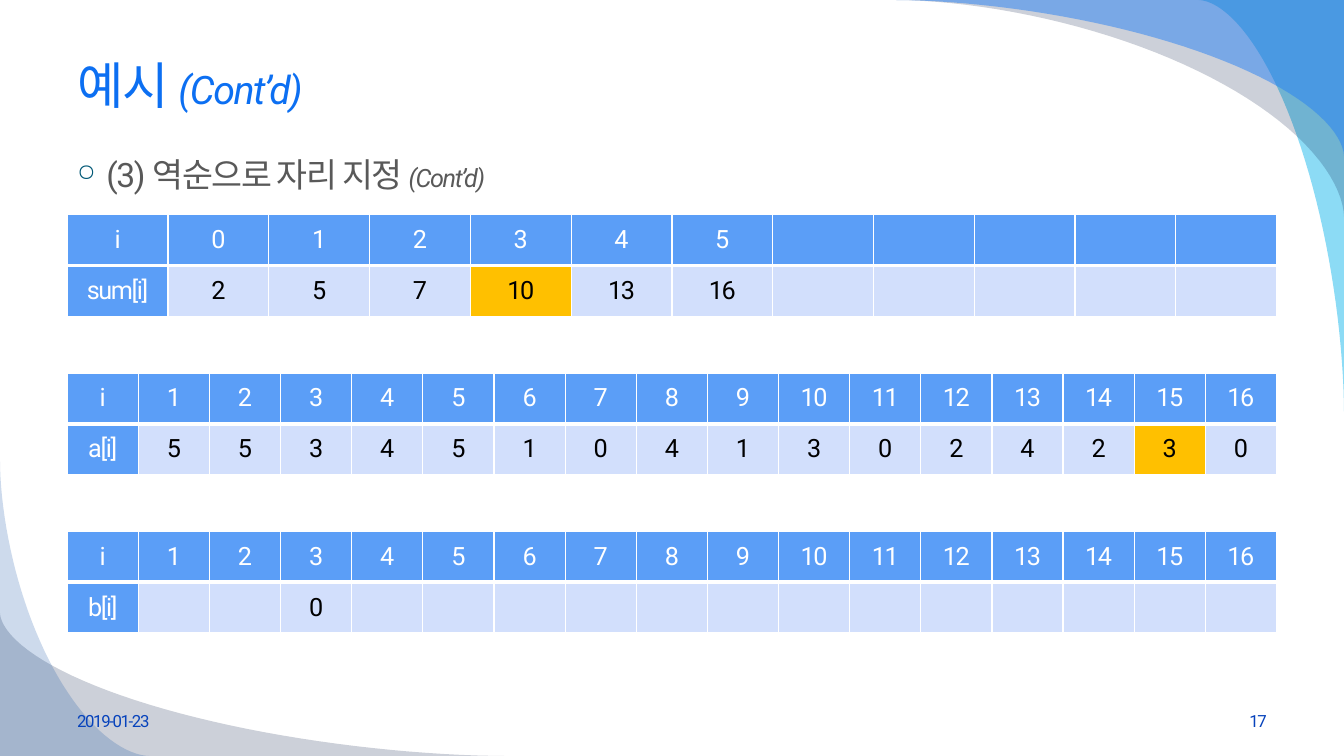
import math

import pptx
import pptx.dml.color
import pptx.enum.text
import pptx.oxml
import pptx.oxml.ns
import pptx.util

WIDTH, HEIGHT = 13.33, 7.5
MARGIN, CONTENT = 0.05 * WIDTH, 0.9 * WIDTH
TABLE_TOP, TABLE_STEP, TABLE_HEIGHT = 2.13, 1.57, 1.01
FONT = "Roboto"
HEADER, CELL, MARKED, WHITE, BLACK = "5B9EF7", "D2DFFC", "FFC000", "FFFFFF", "000000"
ALIGN = pptx.enum.text.PP_ALIGN
MIDDLE = pptx.enum.text.MSO_ANCHOR.MIDDLE
TOP = pptx.enum.text.MSO_ANCHOR.TOP

SWOOSHES = [
    ((11.89, 0, 1.44, 4.08), "00B1E9", 45, False),
    ((8.89, 0, 4.44, 2.15), "021741", 20, False),
    ((8.89, 0, 4.44, 1.55), "247FF4", 49, False),
    ((0, 6.08, 5, 1.42), "021741", 20, True),
    ((0, 4.58, 1.48, 2.92), "084AA1", 20, True),
]
POSITIONS = ["i", *range(1, 17)]
TABLES = [
    (["i", *range(6)], ["sum[i]", 2, 5, 7, 10, 13, 16], 12, 4),
    (POSITIONS, ["a[i]", 5, 5, 3, 4, 5, 1, 0, 4, 1, 3, 0, 2, 4, 2, 3, 0], 17, 15),
    (POSITIONS, ["b[i]", "", "", 0], 17, None),
]


def color(value):
    """Turn a hex string into a colour."""
    return pptx.dml.color.RGBColor.from_string(value)


def inches(*values):
    """Turn lengths in inches into a list of lengths."""
    return [pptx.util.Inches(value) for value in values]


def element(tag, **attributes):
    """Make an empty drawing element with attributes."""
    made = pptx.oxml.parse_xml(f"<a:{tag} {pptx.oxml.ns.nsdecls('a')}/>")
    for name, value in attributes.items():
        made.set(name, str(value))
    return made


def add_run(paragraph, text, size, value, italic=False):
    """Add one run of text with tight letter spacing."""
    run = paragraph.add_run()
    run.text = text
    formats = {"name": FONT, "size": pptx.util.Pt(size), "italic": italic}
    for name, setting in formats.items():
        setattr(run.font, name, setting)
    run.font.color.rgb = color(value)
    run.font._element.set("spc", "-100")


def add_text(slide, box, runs, value, anchor=MIDDLE, align=ALIGN.LEFT, bullet=None):
    """Place a text box holding one paragraph of runs."""
    frame = slide.shapes.add_textbox(*inches(*box)).text_frame
    for name, setting in {"word_wrap": True, "vertical_anchor": anchor}.items():
        setattr(frame, name, setting)
    paragraph = frame.paragraphs[0]
    paragraph.alignment = align
    if bullet:
        add_bullet(paragraph, *bullet)
    for text, size, italic in runs:
        add_run(paragraph, text, size, value, italic)


def add_bullet(paragraph, character, value, percent, indent):
    """Give a paragraph a coloured hanging bullet."""
    properties = paragraph._p.get_or_add_pPr()
    hang = pptx.util.Inches(indent)
    properties.set("marL", str(hang))
    properties.set("indent", str(-hang))
    bullet_color = element("buClr")
    bullet_color.append(element("srgbClr", val=value))
    properties.append(bullet_color)
    properties.append(element("buSzPct", val=percent * 1000))
    properties.append(element("buChar", char=character))


def add_swoosh(slide, box, value, opacity, turned, power=1.75, steps=40):
    """Fill a corner of the box, cut by a rounded curve."""
    left, top, width, height = box
    shares = [(1, 0)]
    for step in range(steps + 1):
        angle = math.pi / 2 * step / steps
        across = math.sin(angle) ** (2 / power)
        down = 1 - abs(math.cos(angle)) ** (2 / power)
        shares.append((across, down))
    if turned:
        shares = [(1 - across, 1 - down) for across, down in shares]
    points = [inches(left + width * across, top + height * down) for across, down in shares]
    builder = slide.shapes.build_freeform(*points[0])
    builder.add_line_segments(points[1:], close=True)
    shape = builder.convert_to_shape()
    shape.shadow.inherit = False
    shape.line.fill.background()
    shape.fill.solid()
    shape.fill.fore_color.rgb = color(value)
    fill_color = shape._element.spPr.find(".//" + pptx.oxml.ns.qn("a:srgbClr"))
    fill_color.append(element("alpha", val=opacity * 1000))


def style_cell(cell, fill, borders):
    """Set the white borders, fill and anchor of a cell."""
    properties = cell._tc.get_or_add_tcPr()
    for side, points in borders.items():
        line = element(f"ln{side}", w=pptx.util.Pt(points))
        paint = element("solidFill")
        paint.append(element("srgbClr", val=WHITE))
        line.append(paint)
        properties.append(line)
    cell.fill.solid()
    cell.fill.fore_color.rgb = color(fill)
    cell.vertical_anchor = MIDDLE


def add_array_table(slide, box, indices, values, columns, marked):
    """Draw an index row above a value row, with one value marked."""
    table = slide.shapes.add_table(2, columns, *inches(*box)).table
    for column in table.columns:
        column.width = pptx.util.Inches(box[2] / columns)
    for row, entries in enumerate((indices, values)):
        table.rows[row].height = pptx.util.Inches(box[3] / 2)
        borders = {"L": 1, "R": 1, "T": 3 if row else 1, "B": 1 if row else 3}
        for column in range(columns):
            cell = table.cell(row, column)
            heading = row == 0 or column == 0
            fill = HEADER if heading else MARKED if column == marked else CELL
            style_cell(cell, fill, borders)
            paragraph = cell.text_frame.paragraphs[0]
            paragraph.alignment = ALIGN.CENTER
            if column < len(entries) and entries[column] != "":
                add_run(paragraph, str(entries[column]), 18, WHITE if heading else BLACK)


def add_footer(slide, box):
    """Place the date at the left and the slide number at the right."""
    left, top, width, height = box
    part = 0.26 * width
    add_text(slide, (left, top, part, height), [("2019-01-23", 12, False)], "0743BC")
    add_text(slide, (left + width - part, top, part, height), [("17", 12, False)],
             "0743BC", align=ALIGN.RIGHT)


def build_array_slide(presentation):
    """Build the slide with its background, heading, tables and footer."""
    slide = presentation.slides.add_slide(presentation.slide_layouts[6])
    for swoosh in SWOOSHES:
        add_swoosh(slide, *swoosh)
    add_text(slide, (MARGIN, 0.33, CONTENT, 1.01),
             [("예시 ", 36, False), ("(Cont’d)", 28, True)], "0C6FF2")
    add_text(slide, (MARGIN, 1.48, CONTENT, 5.22),
             [("(3) 역순으로 자리 지정 ", 24, False), ("(Cont’d)", 18, True)],
             "595959", anchor=TOP, bullet=("○", "005876", 70, 0.29))
    add_footer(slide, (MARGIN, 6.95, CONTENT, 0.4))
    for number, table in enumerate(TABLES):
        box = (MARGIN, TABLE_TOP + number * TABLE_STEP, CONTENT, TABLE_HEIGHT)
        add_array_table(slide, box, *table)


def main():
    """Create and save the presentation."""
    presentation = pptx.Presentation()
    presentation.slide_width, presentation.slide_height = inches(WIDTH, HEIGHT)
    build_array_slide(presentation)
    presentation.save("out.pptx")


if __name__ == "__main__":
    main()
